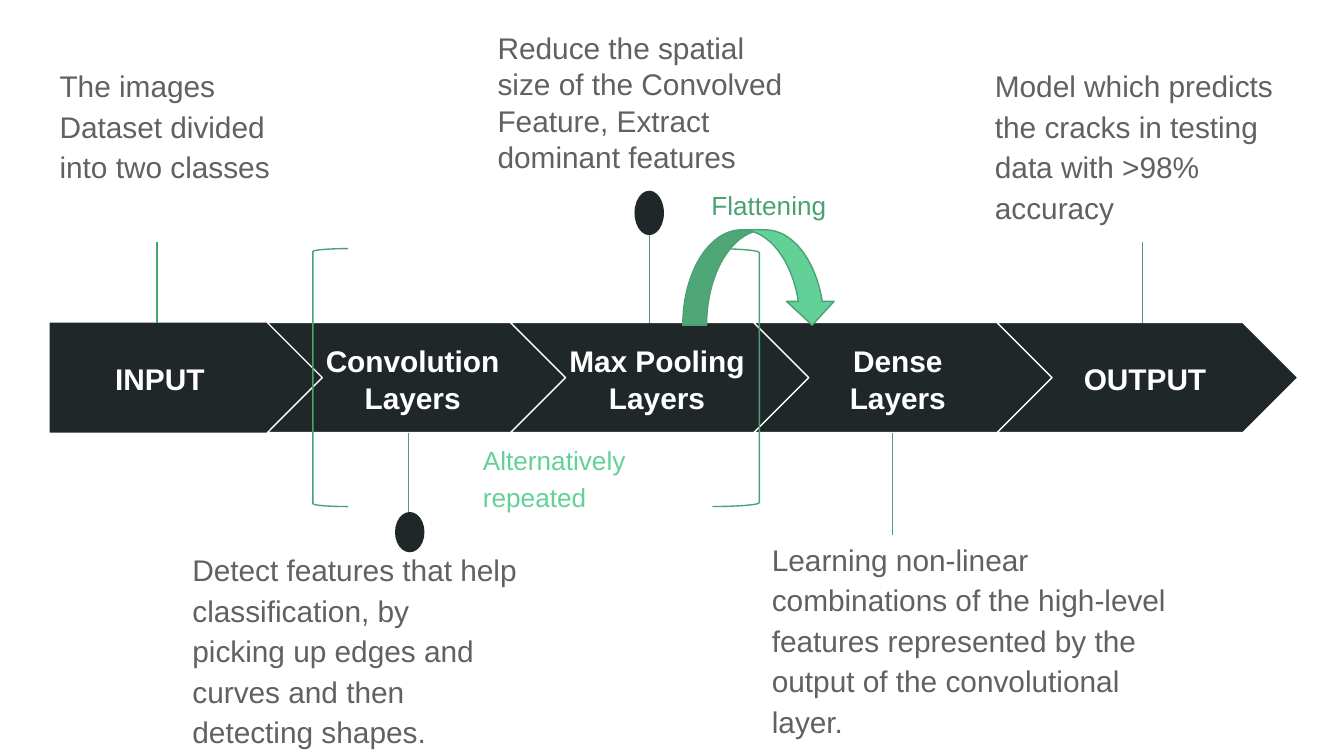
"""Build a slide showing the layers of a convolutional network as a chevron chain."""
from dataclasses import dataclass

from lxml import etree
from pptx import Presentation
from pptx.dml.color import RGBColor
from pptx.enum.shapes import MSO_CONNECTOR, MSO_SHAPE
from pptx.enum.text import PP_ALIGN
from pptx.oxml.ns import qn
from pptx.shapes.autoshape import Shape
from pptx.shapes.shapetree import SlideShapes
from pptx.util import Pt

STRAIGHT = MSO_CONNECTOR.STRAIGHT
PENTAGON, CHEVRON, OVAL = MSO_SHAPE.PENTAGON, MSO_SHAPE.CHEVRON, MSO_SHAPE.OVAL
LEFT_BRACKET, RIGHT_BRACKET = MSO_SHAPE.LEFT_BRACKET, MSO_SHAPE.RIGHT_BRACKET
CURVED_ARROW = MSO_SHAPE.CURVED_DOWN_ARROW
LEFT, CENTER = PP_ALIGN.LEFT, PP_ALIGN.CENTER


@dataclass(frozen=True)
class Theme:
    dark: str = "202729"
    white: str = "FFFFFF"
    grey: str = "616161"
    green: str = "4BA173"
    mint: str = "63D197"
    font: str = "Arial"
    body: float = 16
    small: float = 14
    line: float = 0.75


@dataclass(frozen=True)
class Box:
    left: float
    top: float
    width: float
    height: float


@dataclass(frozen=True)
class Text:
    text: str
    box: Box
    color: str
    size: float
    spacing: float = 1.0
    bold: bool = False
    align: PP_ALIGN = LEFT


@dataclass(frozen=True)
class Stage:
    name: str
    center: float
    stem_end: float


THEME = Theme()
BAND_TOP, BAND_HEIGHT = 172.8, 59
BAND_BOTTOM = BAND_TOP + BAND_HEIGHT
FIRST_CHEVRON, CHEVRON_STEP, CHEVRON_WIDTH = 143.2, 130.3, 161.2
LABEL_WIDTH, LINE_HEIGHT = 104, 19

STAGES = [
    Stage("INPUT", 84.2, 129.6),
    Stage("Convolution\vLayers", 219.6, 291.6),
    Stage("Max Pooling\vLayers", 350.5, 106.6),
    Stage("Dense\vLayers", 479.5, 286.6),
    Stage("OUTPUT", 612, 129.6),
]
STEM_XS = [84.2, 218.9, 347.8, 478.1, 612]
DOTS = [Box(211.6, 274.3, 15.8, 21.6), Box(339.9, 102.2, 15.8, 23.8)]
BRACKETS = [
    (LEFT_BRACKET, Box(167.6, 133.2, 18.9, 138.2)),
    (RIGHT_BRACKET, Box(381.6, 133.2, 25.2, 138.2)),
]


def note(text: str, box: Box, spacing: float = 1.13) -> Text:
    """Describe a grey explanation of a stage."""
    return Text(text, box, THEME.grey, THEME.body, spacing)


TEXTS = [
    note("The images\vDataset divided\vinto two classes", Box(31, 33.1, 142, 67)),
    note("Reduce the spatial\vsize of the Convolved\vFeature, Extract\vdominant features",
         Box(265.7, 14.4, 163.4, 80), 1.02),
    note("Model which predicts\vthe cracks in testing\vdata with >98%\vaccuracy",
         Box(532.1, 33.1, 155, 89.3)),
    note("Detect features that help\vclassiﬁcation, by\vpicking up edges and\v"
         "curves and then\vdetecting shapes.", Box(102.2, 292.3, 180, 111)),
    note("Learning non-linear\vcombinations of the high-level\vfeatures represented by the\v"
         "output of the convolutional\vlayer.", Box(412.6, 286.6, 216, 111)),
    Text("Alternatively\vrepeated", Box(257.8, 234, 82, 35.3), THEME.mint, THEME.small, 1.18),
    Text("Flattening", Box(380.2, 100.8, 66, 18.7), THEME.green, THEME.small),
]


def add_block(shapes: SlideShapes, kind: MSO_SHAPE, box: Box,
              fill: str | None = None, line: str | None = None) -> Shape:
    """Add a preset shape with an optional fill and outline."""
    shape = shapes.add_shape(kind, Pt(box.left), Pt(box.top), Pt(box.width), Pt(box.height))
    shape.shadow.inherit = False
    if fill:
        shape.fill.solid()
        shape.fill.fore_color.rgb = RGBColor.from_string(fill)
    else:
        shape.fill.background()
    if line:
        shape.line.color.rgb = RGBColor.from_string(line)
        shape.line.width = Pt(THEME.line)
    else:
        shape.line.fill.background()
    return shape


def add_text(shapes: SlideShapes, item: Text) -> None:
    """Add a text box holding one paragraph."""
    box = item.box
    frame = shapes.add_textbox(Pt(box.left), Pt(box.top), Pt(box.width), Pt(box.height)).text_frame
    frame.word_wrap = True
    frame.margin_left = frame.margin_top = Pt(0.9)
    frame.margin_right = frame.margin_bottom = 0
    paragraph = frame.paragraphs[0]
    paragraph.text = item.text
    paragraph.alignment = item.align
    paragraph.line_spacing = item.spacing
    paragraph.font.name = THEME.font
    paragraph.font.size = Pt(item.size)
    paragraph.font.bold = item.bold
    paragraph.font.color.rgb = RGBColor.from_string(item.color)


def add_stem(shapes: SlideShapes, x: float, end: float) -> None:
    """Add a vertical line from the band to the given height."""
    start = BAND_TOP if end < BAND_TOP else BAND_BOTTOM
    stem = shapes.add_connector(STRAIGHT, Pt(x), Pt(start), Pt(x), Pt(end))
    stem.line.color.rgb = RGBColor.from_string(THEME.green)
    stem.line.width = Pt(THEME.line)
    etree.SubElement(stem._element.spPr, qn("a:effectLst"))


def add_label(shapes: SlideShapes, stage: Stage) -> None:
    """Add the name of a stage, centred on the band."""
    height = LINE_HEIGHT * (stage.name.count("\v") + 1)
    box = Box(stage.center + 1 - LABEL_WIDTH / 2, BAND_TOP + (BAND_HEIGHT - height) / 2 - 1,
              LABEL_WIDTH, height)
    add_text(shapes, Text(stage.name, box, THEME.white, THEME.body, 1.02, True, CENTER))


def main() -> None:
    """Draw the slide and save it."""
    presentation = Presentation()
    presentation.slide_width, presentation.slide_height = Pt(720), Pt(405)
    shapes = presentation.slides.add_slide(presentation.slide_layouts[6]).shapes

    add_block(shapes, PENTAGON, Box(26.6, BAND_TOP, 147.6, BAND_HEIGHT), THEME.dark)
    for index in range(len(STAGES) - 1):
        left = FIRST_CHEVRON + index * CHEVRON_STEP
        add_block(shapes, CHEVRON, Box(left, BAND_TOP, CHEVRON_WIDTH, BAND_HEIGHT),
                  THEME.dark, THEME.white)
    for stage, stem_x in zip(STAGES, STEM_XS):
        add_label(shapes, stage)
        add_stem(shapes, stem_x, stage.stem_end)
    for dot in DOTS:
        add_block(shapes, OVAL, dot, THEME.dark)
    for kind, box in BRACKETS:
        add_block(shapes, kind, box, line=THEME.green)
    add_block(shapes, CURVED_ARROW, Box(365.8, 123.1, 82.1, 51.1), THEME.mint, THEME.green)
    for item in TEXTS:
        add_text(shapes, item)

    presentation.save("out.pptx")


if __name__ == "__main__":
    main()
